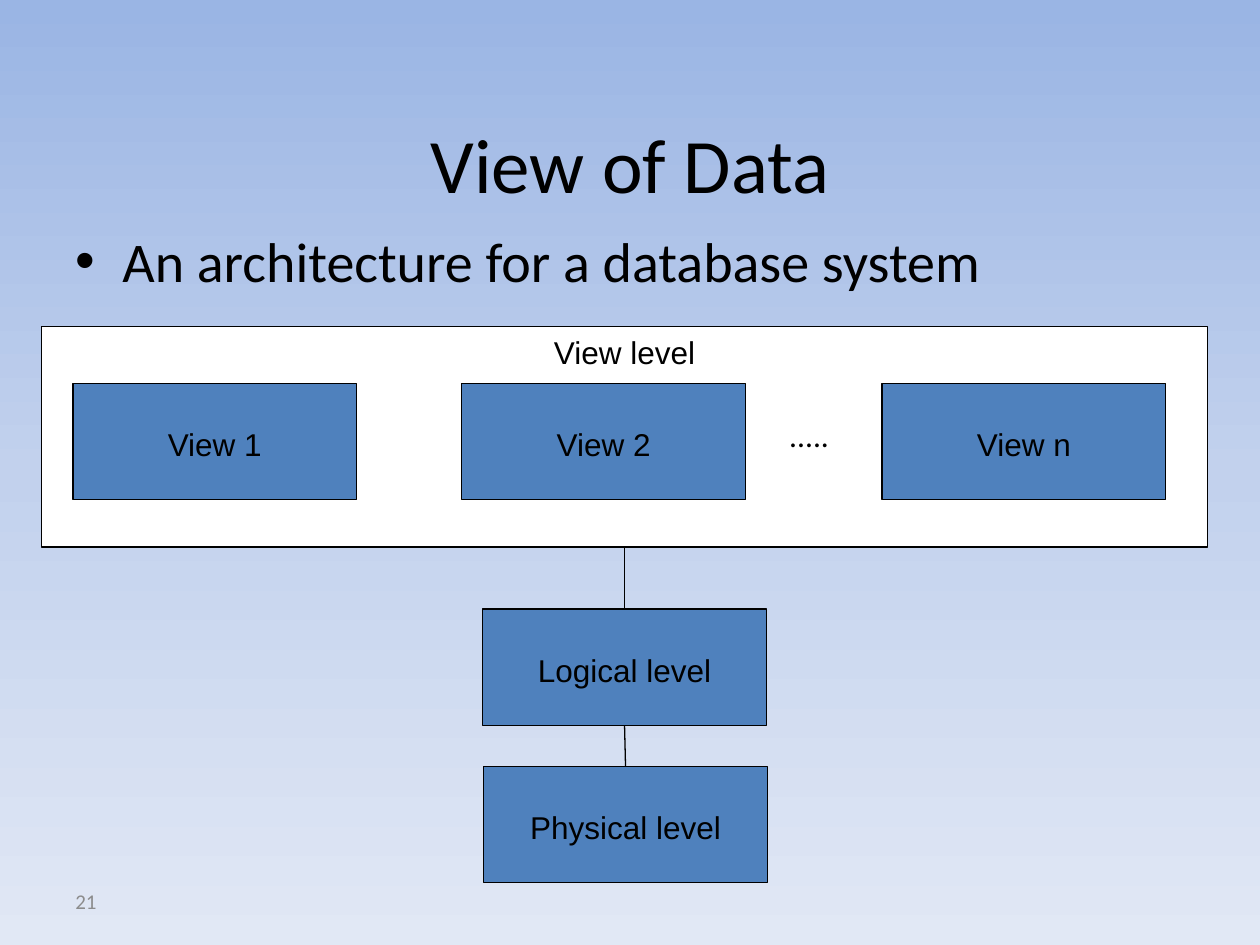
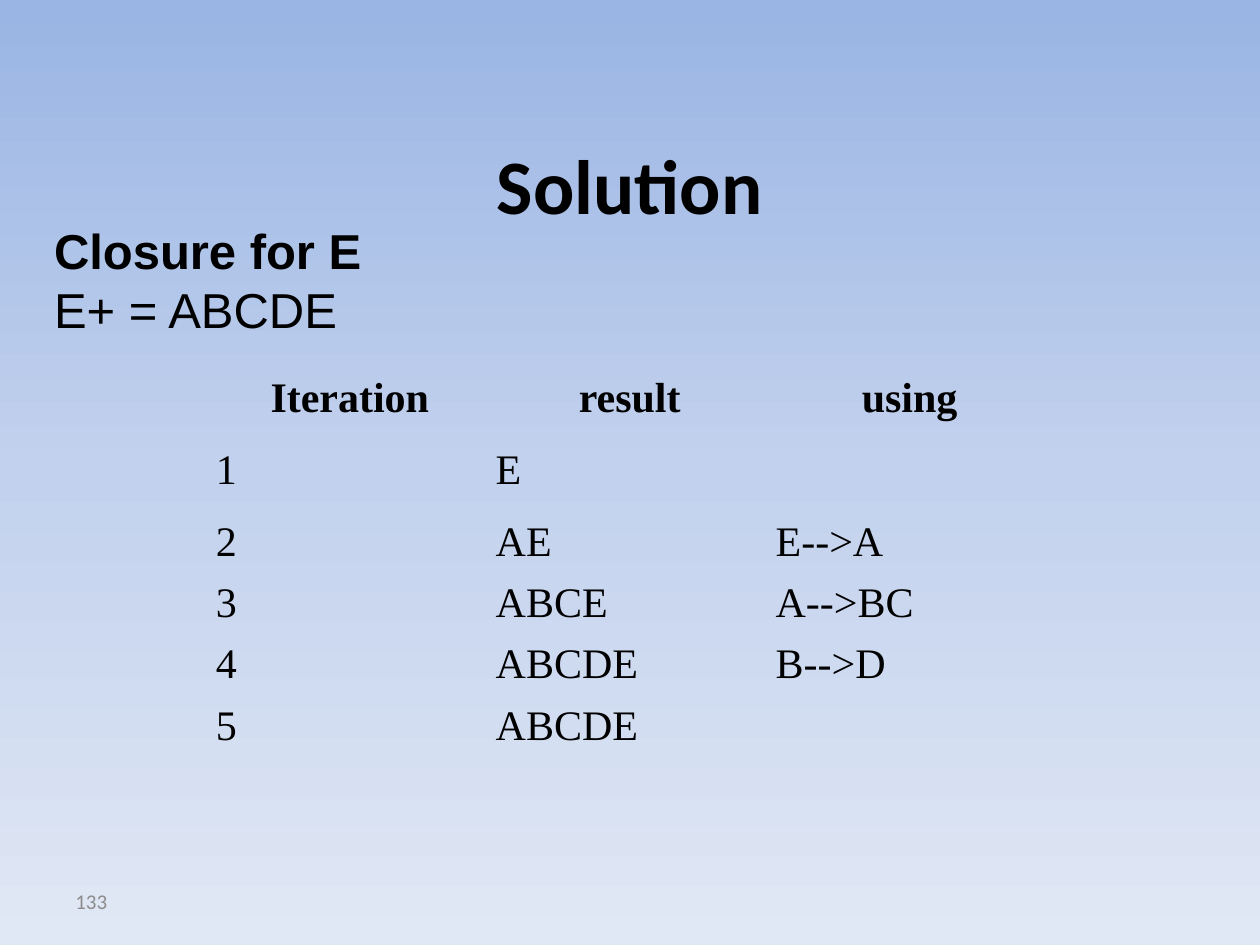
from copy import deepcopy

from lxml.etree import SubElement
from pptx import Presentation
from pptx.dml.color import RGBColor
from pptx.enum.shapes import MSO_CONNECTOR, MSO_SHAPE
from pptx.enum.text import MSO_ANCHOR, PP_ALIGN
from pptx.oxml.ns import qn
from pptx.util import Cm, Pt

BLACK = RGBColor(0x00, 0x00, 0x00)
WHITE = RGBColor(0xFF, 0xFF, 0xFF)
GREY = RGBColor(0x8C, 0x8C, 0x8C)
BLUE = RGBColor(0x4F, 0x81, 0xBD)
SKY = [(0, RGBColor(0x9A, 0xB5, 0xE4)),
       (0.5, RGBColor(0xC2, 0xD1, 0xED)),
       (1, RGBColor(0xE1, 0xE8, 0xF5))]
NO_STYLE_NO_GRID = "{2D5ABB26-0587-4C30-8999-92F81FD0307C}"


def add_text(slide, text, left, top, width, height, size, font="Calibri",
             color=BLACK, anchor=MSO_ANCHOR.TOP, align=PP_ALIGN.LEFT):
    frame = slide.shapes.add_textbox(Cm(left), Cm(top), Cm(width), Cm(height)).text_frame
    frame.word_wrap = True
    frame.vertical_anchor = anchor
    frame.text = text
    for paragraph in frame.paragraphs:
        paragraph.alignment = align
        paragraph.font.size = Pt(size)
        paragraph.font.name = font
        paragraph.font.color.rgb = color
    return frame


def add_level(slide, label, left, top, width=5.72, height=2.34, fill=BLUE,
              anchor=MSO_ANCHOR.MIDDLE):
    """Add an outlined, labelled box of the architecture diagram."""
    level = slide.shapes.add_shape(MSO_SHAPE.RECTANGLE, Cm(left), Cm(top), Cm(width), Cm(height))
    level.shadow.inherit = False
    level.fill.solid()
    level.fill.fore_color.rgb = fill
    level.line.color.rgb = BLACK
    level.line.width = Pt(0.75)
    frame = level.text_frame
    frame.vertical_anchor = anchor
    frame.text = label
    paragraph = frame.paragraphs[0]
    paragraph.alignment = PP_ALIGN.CENTER
    paragraph.font.size = Pt(18)
    paragraph.font.name = "Arial"
    paragraph.font.color.rgb = BLACK
    return level


prs = Presentation()
prs.slide_width, prs.slide_height = Cm(25.4), Cm(19.05)

# Shared background, on the master
sky_fill = prs.slide_master.background.fill
sky_fill.gradient()
sky_fill.gradient_angle = 270
stop_list = prs.slide_master.element.find(".//" + qn("p:bg")).find(".//" + qn("a:gsLst"))
stop_list.append(deepcopy(stop_list[0]))
for stop, (position, color) in zip(sky_fill.gradient_stops, SKY):
    stop.position = position
    stop.color.rgb = color

# Shared title and slide number
slides = []
for title, title_top, bold, number in [("View of Data", 1.7, False, "21"),
                                       ("Solution", 2.11, True, "133")]:
    slide = prs.slides.add_slide(prs.slide_layouts[6])
    heading = add_text(slide, title, 1.27, title_top, 22.86, 3.18, 44,
                       anchor=MSO_ANCHOR.MIDDLE, align=PP_ALIGN.CENTER)
    heading.paragraphs[0].font.bold = bold
    add_text(slide, number, 1.27, 17.65, 5.92, 1.02, 12, color=GREY, anchor=MSO_ANCHOR.MIDDLE)
    slides.append(slide)
view_slide, solution_slide = slides

# View of Data: three levels of the architecture
statement = add_text(view_slide, "An architecture for a database system",
                     1.27, 4.45, 22.86, 1.9, 32).paragraphs[0]
indent = statement._p.get_or_add_pPr()
indent.set("marL", str(Cm(0.95)))
indent.set("indent", str(Cm(-0.95)))
bullet_font = indent.makeelement(qn("a:buFont"), {"typeface": "Arial"})
bullet = indent.makeelement(qn("a:buChar"), {"char": "•"})
indent.insert(0, bullet_font)
bullet_font.addnext(bullet)

view_level = add_level(view_slide, "View level", 0.84, 6.58, 23.5, 4.45, WHITE, MSO_ANCHOR.TOP)
for label, left in [("View 1", 1.47), ("View 2", 9.31), ("View n", 17.78)]:
    view = add_level(view_slide, label, left, 7.73)
    view.text_frame.margin_top = Cm(0.24)
add_text(view_slide, ".....", 15.66, 8.26, 1.48, 1.06, 18)

logical_level = add_level(view_slide, "Logical level", 9.73, 12.28)
physical_level = add_level(view_slide, "Physical level", 9.75, 15.45)
for level in (logical_level, physical_level):
    level.text_frame.margin_top = Cm(0.24)

for upper, lower in [(view_level, logical_level), (logical_level, physical_level)]:
    link = view_slide.shapes.add_connector(MSO_CONNECTOR.STRAIGHT, 0, 0, 0, 0)
    link.begin_connect(upper, 2)
    link.end_connect(lower, 0)
    link.line.color.rgb = BLACK
    link.line.width = Pt(0.75)
    SubElement(link._element.spPr, qn("a:effectLst"))

# Solution: closure of E, iteration by iteration
closure = add_text(solution_slide, "Closure for E\nE+ = ABCDE", 0.84, 4.24, 6.78, 3.43, 28, "Arial")
closure.word_wrap = False
closure.margin_top = Cm(0.21)
closure.paragraphs[0].font.bold = True

iterations = [
    ("Iteration", "result", "using"),
    ("1", "E", ""),
    ("2", "AE", "E-->A"),
    ("3", "ABCE", "A-->BC"),
    ("4", "ABCDE", "B-->D"),
    ("5", "ABCDE", ""),
]
row_heights = [1.19, 1.65, 1.19, 1.19, 1.19, 1.19]
table_frame = solution_slide.shapes.add_table(len(iterations), 3, Cm(4.23), Cm(7.42),
                                              Cm(16.93), Cm(sum(row_heights)))
table = table_frame.table
table.horz_banding = False
table._tbl.tblPr.find(qn("a:tableStyleId")).text = NO_STYLE_NO_GRID
for row_index, (values, height) in enumerate(zip(iterations, row_heights)):
    table.rows[row_index].height = Cm(height)
    for cell, value in zip(table.rows[row_index].cells, values):
        cell.fill.background()
        cell.vertical_anchor = MSO_ANCHOR.MIDDLE
        cell.margin_left = cell.margin_right = Cm(0.12)
        cell.margin_top = cell.margin_bottom = Cm(0.11)
        cell.text = value
        paragraph = cell.text_frame.paragraphs[0]
        paragraph.alignment = PP_ALIGN.LEFT if row_index else PP_ALIGN.CENTER
        paragraph.font.size = Pt(24)
        paragraph.font.name = "Times New Roman"
        paragraph.font.bold = row_index == 0
        paragraph.font.color.rgb = BLACK

prs.save("out.pptx")
